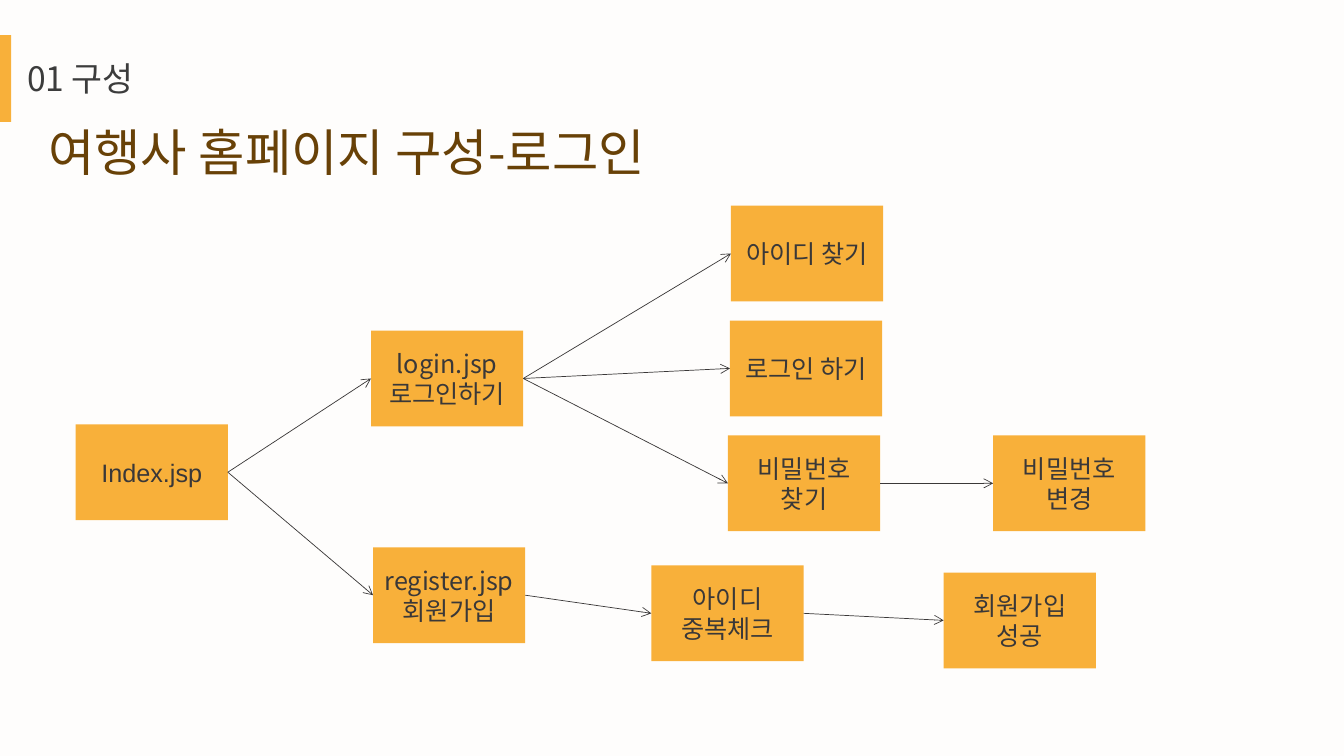
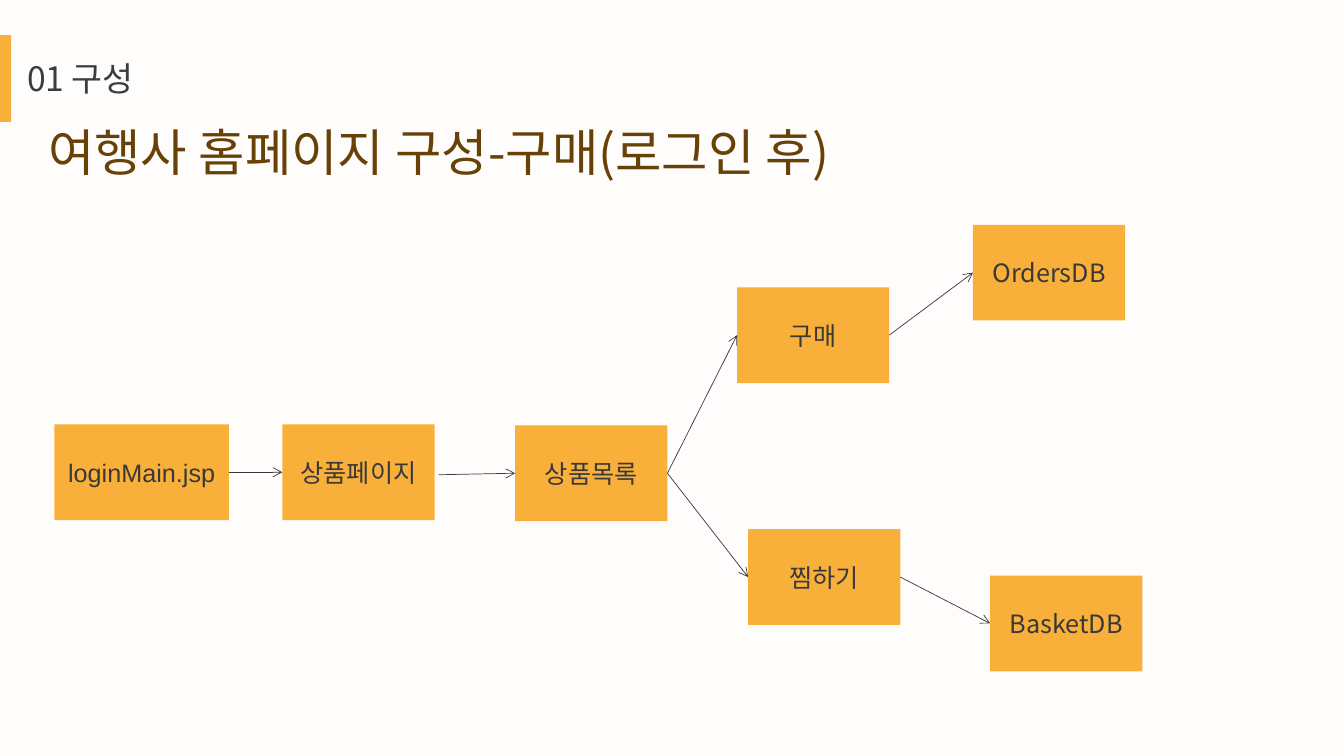
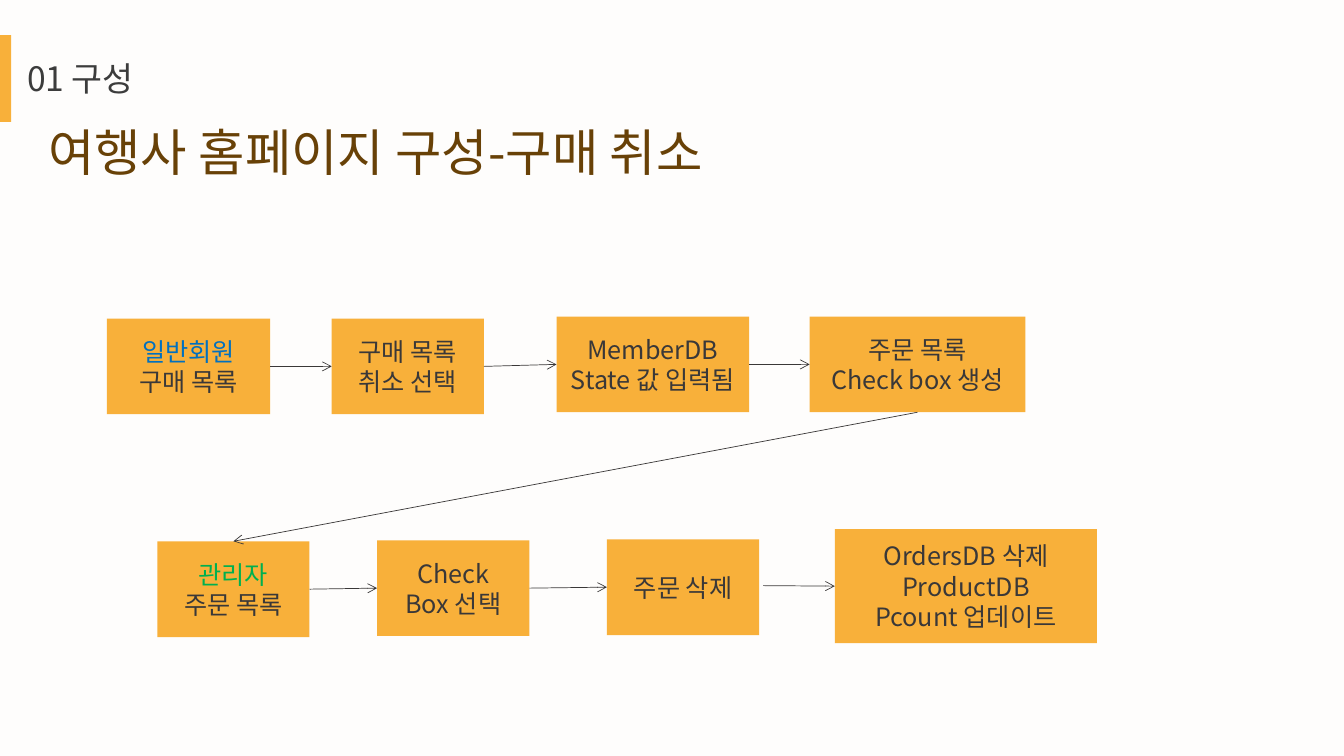
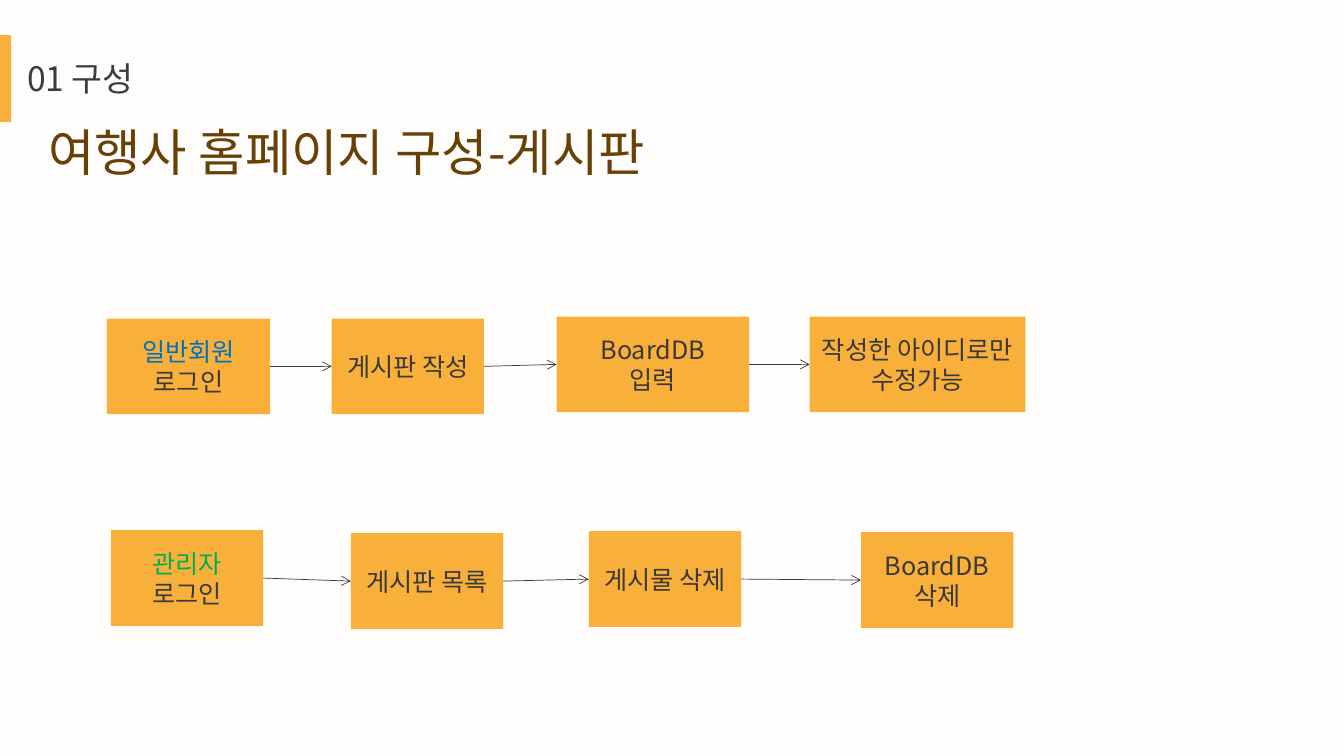
import itertools

import pptx
import pptx.dml.color
import pptx.enum.shapes
import pptx.enum.text
import pptx.oxml.ns
import pptx.util
from lxml import etree
from pptx.util import Inches

COLOURS = {
    "background": "FEFDFC",
    "accent": "F8B03A",
    "section": "3C3C3C",
    "title": "684107",
    "ink": "3A3838",
    "member": "0070C0",
    "admin": "00B050",
}
KOREAN, LATIN = "Noto Sans CJK KR", "Arial"
NODE_WIDTH, NODE_HEIGHT = 1.51, 0.95
TOP, LEFT, BOTTOM, RIGHT = range(4)  # connection sites of a rectangle


def colour(name):
    return pptx.dml.color.RGBColor.from_string(COLOURS[name])


def add_element(parent, tag, **attributes):
    return etree.SubElement(parent, pptx.oxml.ns.qn(tag), attributes)


class FlowDeck:
    """Holds the shared style and the slide being drawn."""

    def __init__(self):
        self.deck = pptx.Presentation()
        self.deck.slide_width, self.deck.slide_height = Inches(13.33), Inches(7.5)
        fill = self.deck.slide_master.background.fill
        fill.solid()
        fill.fore_color.rgb = colour("background")
        self.slide = None

    def page(self, topic, title_width):
        self.slide = self.deck.slides.add_slide(self.deck.slide_layouts[6])
        self.block(0, 0.35, 0.11, 0.86)
        self.label(0.17, 0.53, 1.5, 0.5, "01 구성", 24, "section")
        self.label(0.38, 1.15, title_width, 0.71, f"여행사 홈페이지 구성-{topic}", 36, "title")

    def style(self, para, size, ink, font=KOREAN):
        for span in para.runs:
            span.font.size = pptx.util.Pt(size)
            span.font.color.rgb = colour(ink)
            span.font.name = font
            add_element(span.font._element, "a:ea", typeface=font)

    def label(self, left, top, width, height, text, size, ink):
        box = self.slide.shapes.add_textbox(*map(Inches, (left, top, width, height)))
        frame = box.text_frame
        frame.word_wrap = True
        frame.auto_size = pptx.enum.text.MSO_AUTO_SIZE.SHAPE_TO_FIT_TEXT
        frame.text = text
        self.style(frame.paragraphs[0], size, ink)

    def block(self, left, top, width, height):
        shape = self.slide.shapes.add_shape(
            pptx.enum.shapes.MSO_SHAPE.RECTANGLE, *map(Inches, (left, top, width, height)))
        shape.shadow.inherit = False
        shape.fill.solid()
        shape.fill.fore_color.rgb = colour("accent")
        shape.line.fill.background()
        return shape

    def node(self, left, top, text, width=NODE_WIDTH, height=NODE_HEIGHT, font=KOREAN, lead="ink"):
        """Draw a step of the flow; lead colours its first line."""
        shape = self.block(left, top, width, height)
        frame = shape.text_frame
        frame.word_wrap = True
        frame.margin_left = frame.margin_right = Inches(0.05)
        frame.vertical_anchor = pptx.enum.text.MSO_ANCHOR.MIDDLE
        frame.text = text
        for index, para in enumerate(frame.paragraphs):
            para.alignment = pptx.enum.text.PP_ALIGN.CENTER
            self.style(para, 18, "ink" if index else lead, font)
        return shape

    def arrow(self, source, target, leave=RIGHT, enter=LEFT):
        """Join two nodes; source may also be a free (x, y) point."""
        free = isinstance(source, tuple)
        x, y = map(Inches, source) if free else (0, 0)
        line = self.slide.shapes.add_connector(
            pptx.enum.shapes.MSO_CONNECTOR.STRAIGHT, x, y, x, y)
        if not free:
            line.begin_connect(source, leave)
        line.end_connect(target, enter)
        line.line.width = pptx.util.Pt(0.5)
        line.line.color.rgb = colour("ink")
        add_element(line.line._get_or_add_ln(), "a:tailEnd", type="arrow")
        add_element(line._element.spPr, "a:effectLst")

    def chain(self, *nodes):
        for source, target in itertools.pairwise(nodes):
            self.arrow(source, target)

    def member_row(self, first, second, third, fourth):
        """Draw the four joined steps of an ordinary member; return the last."""
        nodes = [
            self.node(1.06, 3.16, first, width=1.62, lead="member"),
            self.node(3.29, 3.16, second),
            self.node(5.52, 3.14, third, width=1.91),
            self.node(8.03, 3.14, fourth, width=2.14),
        ]
        self.chain(*nodes)
        return nodes[-1]


def login_page(flow):
    flow.page("로그인", 6.17)
    index = flow.node(0.75, 4.21, "Index.jsp", font=LATIN)
    login = flow.node(3.68, 3.28, "login.jsp\n로그인하기")
    register = flow.node(3.7, 5.43, "register.jsp\n회원가입")
    find_id = flow.node(7.25, 2.04, "아이디 찾기")
    sign_in = flow.node(7.24, 3.18, "로그인 하기")
    find_password = flow.node(7.22, 4.32, "비밀번호\n찾기")
    check_id = flow.node(6.46, 5.61, "아이디\n중복체크")
    joined = flow.node(9.36, 5.68, "회원가입\n성공")
    change_password = flow.node(9.85, 4.32, "비밀번호\n변경")
    flow.chain(index, login, find_id)
    flow.chain(login, sign_in)
    flow.chain(login, find_password, change_password)
    flow.chain(index, register, check_id, joined)


def purchase_page(flow):
    flow.page("구매(로그인 후)", 7.98)
    main_page = flow.node(0.54, 4.21, "loginMain.jsp", width=1.73, font=LATIN)
    product_page = flow.node(2.8, 4.21, "상품페이지")
    product_list = flow.node(5.11, 4.22, "상품목록")
    buy = flow.node(7.31, 2.85, "구매")
    wish = flow.node(7.42, 5.25, "찜하기")
    orders = flow.node(9.65, 2.23, "OrdersDB")
    basket = flow.node(9.82, 5.71, "BasketDB")
    flow.chain(main_page, product_page)
    flow.arrow((4.35, 4.71), product_list)
    flow.chain(product_list, buy, orders)
    flow.chain(product_list, wish, basket)


def cancel_page(flow):
    flow.page("구매 취소", 6.76)
    order_list = flow.member_row("일반회원\n구매 목록", "구매 목록\n취소 선택",
                                 "MemberDB\nState 값 입력됨", "주문 목록\nCheck box 생성")
    admin = flow.node(1.56, 5.37, "관리자\n주문 목록", lead="admin")
    check = flow.node(3.74, 5.36, "Check\nBox 선택")
    delete = flow.node(6.02, 5.35, "주문 삭제")
    update = flow.node(8.28, 5.25, "OrdersDB 삭제\nProductDB\nPcount 업데이트",
                       width=2.6, height=1.13)
    flow.chain(admin, check, delete)
    flow.arrow((7.57, 5.81), update)
    flow.arrow(order_list, admin, leave=BOTTOM, enter=TOP)


def board_page(flow):
    flow.page("게시판", 6.17)
    flow.member_row("일반회원\n로그인", "게시판 작성", "BoardDB\n입력",
                    "작성한 아이디로만\n수정가능")
    flow.chain(
        flow.node(1.1, 5.26, "관리자\n로그인", lead="admin"),
        flow.node(3.48, 5.29, "게시판 목록"),
        flow.node(5.84, 5.27, "게시물 삭제"),
        flow.node(8.54, 5.28, "BoardDB\n삭제"),
    )


def main():
    flow = FlowDeck()
    for draw in (login_page, purchase_page, cancel_page, board_page):
        draw(flow)
    flow.deck.save("out.pptx")


if __name__ == "__main__":
    main()
